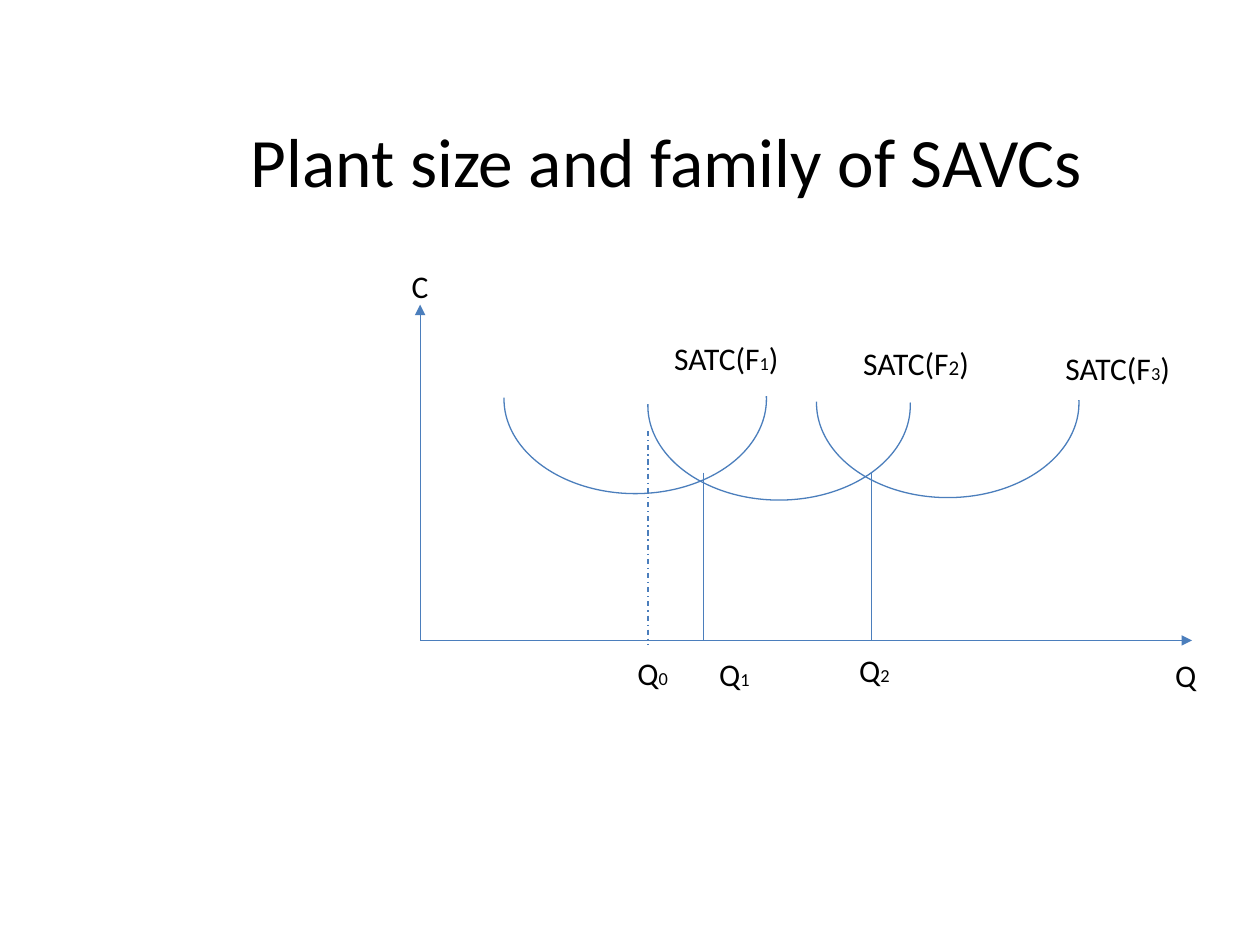
"""Build a slide of short-run cost curves for three plant sizes."""
from lxml import etree
from pptx import Presentation
from pptx.dml.color import RGBColor
from pptx.enum.dml import MSO_LINE
from pptx.enum.shapes import MSO_CONNECTOR, MSO_SHAPE
from pptx.enum.text import MSO_ANCHOR, MSO_AUTO_SIZE, PP_ALIGN
from pptx.oxml.ns import qn
from pptx.util import Cm, Pt

ARC = MSO_SHAPE.ARC
LINE = MSO_CONNECTOR.STRAIGHT
DASH = MSO_LINE.DASH_DOT
MIDDLE = MSO_ANCHOR.MIDDLE
TOP = MSO_ANCHOR.TOP
GROW = MSO_AUTO_SIZE.SHAPE_TO_FIT_TEXT
FIXED = MSO_AUTO_SIZE.NONE
CENTER = PP_ALIGN.CENTER
LEFT = PP_ALIGN.LEFT
BLUE = "4B7EBC"
BLACK = "000000"


def color(code):
    return RGBColor.from_string(code)


def write(box, parts, frame, align):
    text = box.text_frame
    for key, value in frame.items():
        setattr(text, key, value)
    para = text.paragraphs[0]
    para.alignment = align
    for words, size in parts:
        run = para.add_run()
        run.text = words
        run.font.color.rgb = color(BLACK)
        for key, value in {"name": "Calibri", "size": Pt(size)}.items():
            setattr(run.font, key, value)


deck = Presentation()
deck.slide_width, deck.slide_height = Cm(25.4), Cm(19.05)
slide = deck.slides.add_slide(deck.slide_layouts[6])
shapes = slide.shapes

title = shapes.add_textbox(Cm(3.18), Cm(2.54), Cm(20.52), Cm(1.35))
write(
    title,
    [("Plant size and family of SAVCs", 39.6)],
    {"word_wrap": True, "auto_size": FIXED, "vertical_anchor": MIDDLE},
    CENTER,
)

base = 12.91
lines = [
    (8.47, base, 8.47, 6.14, True, None),
    (8.47, base, 24.03, base, True, None),
    (14.18, 9.53, 14.18, base, False, None),
    (17.57, 9.53, 17.57, base, False, None),
    (13.06, 8.69, 13.06, 13, False, DASH),
]
for *ends, arrow, dash in lines:
    line = shapes.add_connector(LINE, *[Cm(end) for end in ends])
    line.line.color.rgb = color(BLUE)
    for key, value in {"width": Pt(0.75), "dash_style": dash}.items():
        setattr(line.line, key, value)
    if arrow:
        stroke = line.line._get_or_add_ln()
        etree.SubElement(stroke, qn("a:tailEnd"), type="triangle")
    etree.SubElement(line._element.spPr, qn("a:effectLst"))

for left, top in [(10.16, 6.14), (13.06, 6.27), (16.46, 6.22)]:
    curve = shapes.add_shape(ARC, Cm(left), Cm(top), Cm(5.29), Cm(3.81))
    curve.rotation = 180
    curve.adjustments[0] = 107.2
    curve.adjustments[1] = 0.38
    curve.shadow.inherit = False
    curve.fill.background()
    curve.line.color.rgb = color(BLUE)
    curve.line.width = Pt(0.75)

labels = [
    (8.05, 5.26, 1.7, [("C", 18)]),
    (23.44, 13.11, 1.17, [("Q", 18)]),
    (13.34, 6.71, 2.74, [("SATC(F", 18), ("1", 10.5), (")", 18)]),
    (17.15, 6.81, 3.23, [("SATC(F", 18), ("2", 12), (")", 18)]),
    (21.23, 6.91, 2.77, [("SATC(F", 18), ("3", 10.5), (")", 18)]),
    (12.6, 13.06, 2.54, [("Q", 18), ("0", 10.5)]),
    (14.25, 13.08, 2.54, [("Q", 18), ("1", 10.5)]),
    (17.07, 13, 2.54, [("Q", 18), ("2", 10.5)]),
]
form = {"word_wrap": True, "auto_size": GROW, "vertical_anchor": TOP}
for left, top, width, parts in labels:
    label = shapes.add_textbox(Cm(left), Cm(top), Cm(width), Cm(1.02))
    write(label, parts, form, LEFT)

deck.save("out.pptx")
